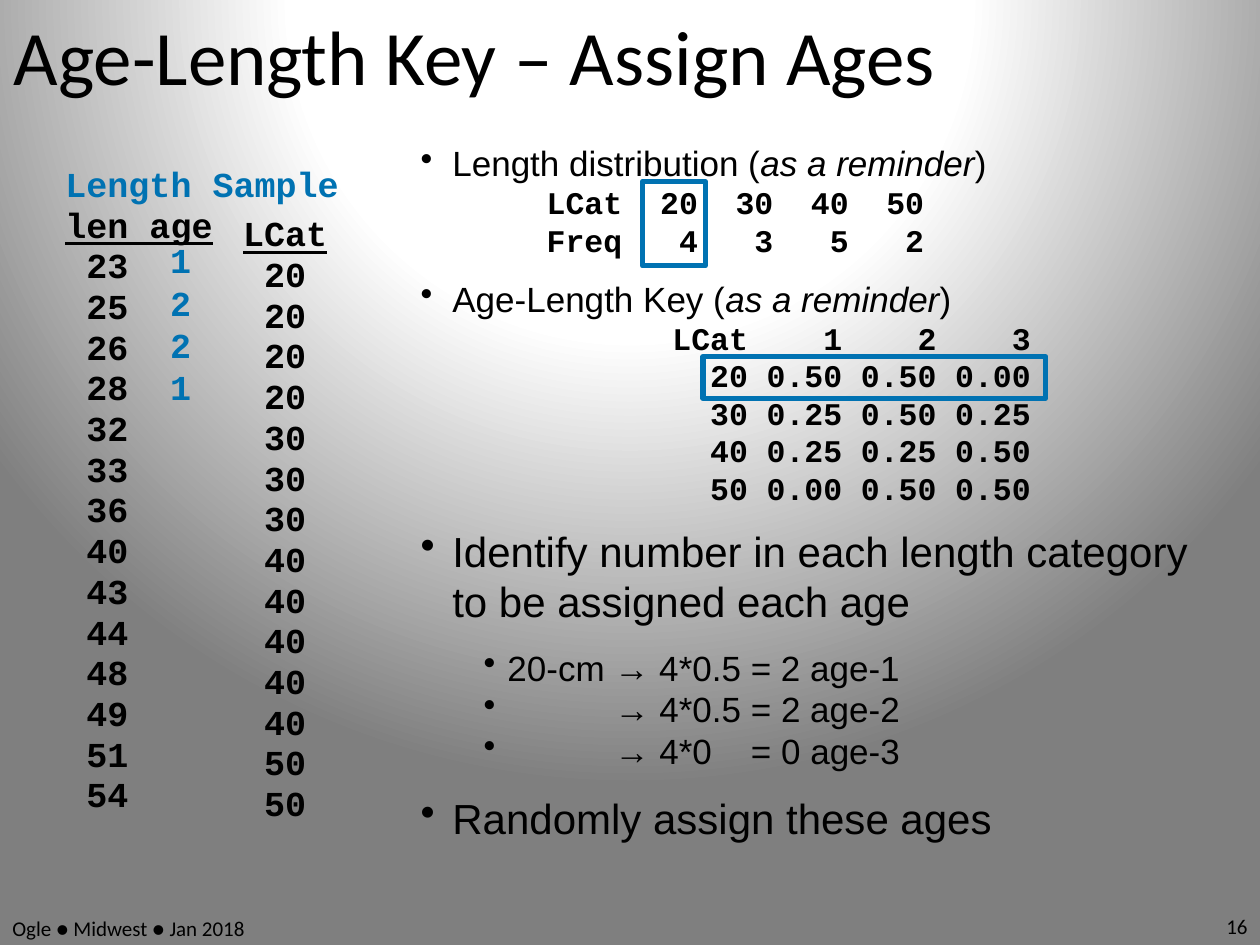
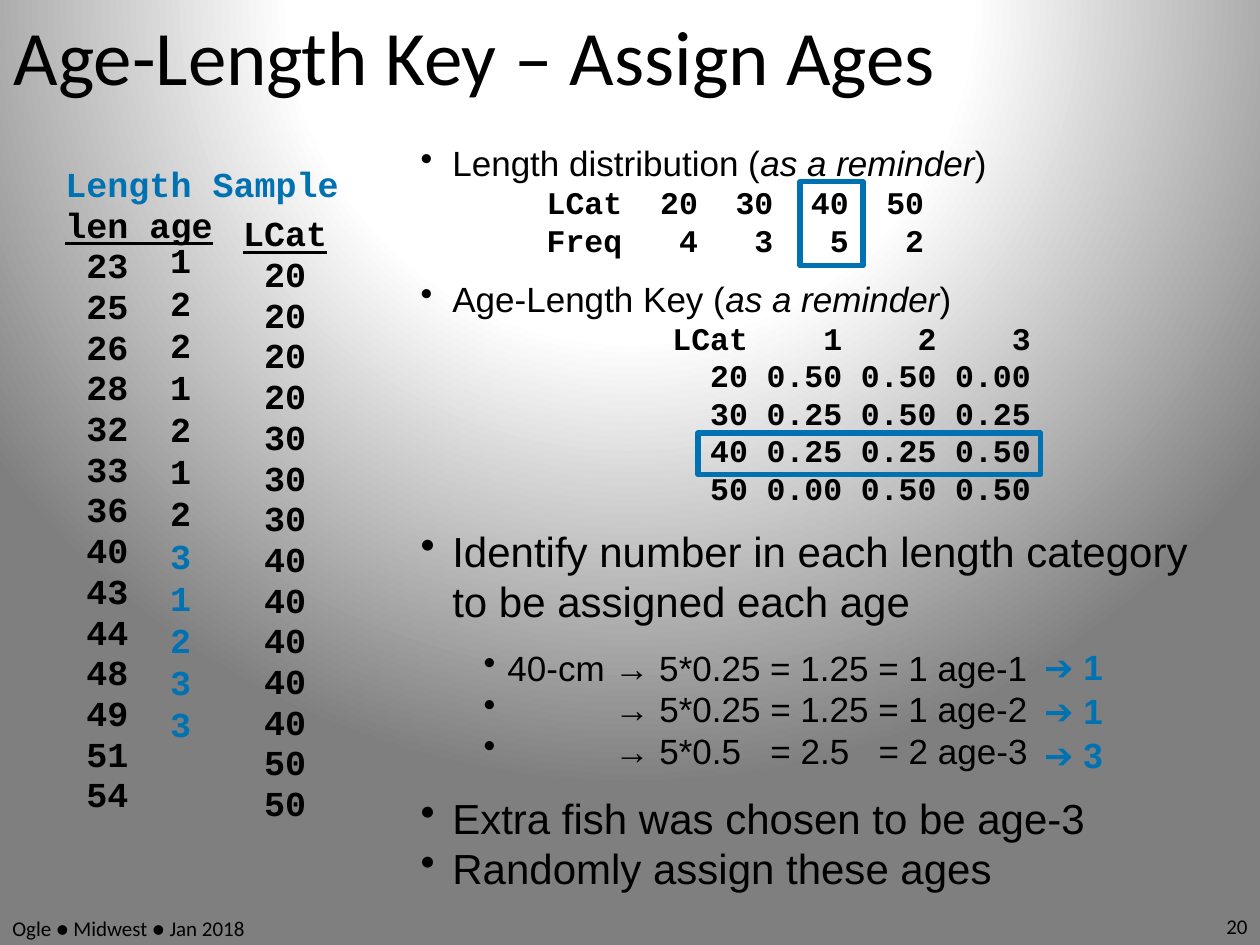
from pptx import Presentation
from pptx.dml.color import RGBColor
from pptx.enum.shapes import MSO_SHAPE
from pptx.enum.text import MSO_ANCHOR, MSO_AUTO_SIZE, PP_ALIGN
from pptx.oxml import parse_xml
from pptx.oxml.ns import qn
from pptx.util import Cm, Pt

BLACK = RGBColor(0x00, 0x00, 0x00)
BLUE = RGBColor(0x00, 0x72, 0xB2)
SANS, MONO, HEADING = "Arial", "Courier New", "Calibri"
LINE_FACTOR = 1.19
SAMPLE_PITCH = 23.24
SPACE_WIDTH = 5.56

GRADIENT = """
<a:gradFill xmlns:a="http://schemas.openxmlformats.org/drawingml/2006/main" rotWithShape="1">
  <a:gsLst>
    <a:gs pos="40000"><a:srgbClr val="FEFEFE"/></a:gs>
    <a:gs pos="43000"><a:srgbClr val="FFFFFF"/></a:gs>
    <a:gs pos="100000"><a:srgbClr val="7F7F7F"/></a:gs>
  </a:gsLst>
  <a:path path="circle"><a:fillToRect l="50000" t="-80000" r="50000" b="180000"/></a:path>
</a:gradFill>"""

LENGTHS = [23, 25, 26, 28, 32, 33, 36, 40, 43, 44, 48, 49, 51, 54]
DISTRIBUTION = [("LCat", 20, 30, 40, 50), ("Freq", 4, 3, 5, 2)]
AGE_LENGTH_KEY = [
    ("LCat", "1", "2", "3"),
    ("20", "0.50", "0.50", "0.00"),
    ("30", "0.25", "0.50", "0.25"),
    ("40", "0.25", "0.25", "0.50"),
    ("50", "0.00", "0.50", "0.50"),
]
# Tab stops: alignment and position in cm.
DISTRIBUTION_TABS = [("l", 2.54)] + [("r", 5.59 + 1.52 * column) for column in range(4)]
KEY_TABS = [("r", 6.6 + 1.9 * column) for column in range(4)]


def paint_background(page):
    page.background.fill.solid()
    solid = page.element.find(".//" + qn("a:solidFill"))
    solid.getparent().replace(solid, parse_xml(GRADIENT))


def add_box(page, left, top, width, height, wrap=True):
    box = page.shapes.add_textbox(Cm(left), Cm(top), Cm(width), Cm(height))
    box.text_frame.word_wrap = wrap
    if not wrap:
        box.text_frame.auto_size = MSO_AUTO_SIZE.SHAPE_TO_FIT_TEXT
    return box.text_frame


def next_para(frame, pitch=None, before=0):
    """Return the still empty first paragraph, or a new one."""
    para = frame.paragraphs[0]
    if para.runs:
        para = frame.add_paragraph()
    para.space_before = Pt(before)
    if pitch:
        para.line_spacing = Pt(pitch)
    return para


def add_span(para, text, size, font=SANS, color=BLACK, bold=False,
             italic=False, underline=False):
    span = para.add_run()
    span.text = text
    span.font.size = Pt(size)
    span.font.name = font
    span.font.color.rgb = color
    span.font.bold = bold
    span.font.italic = italic
    span.font.underline = underline
    return span


def add_bullet(frame, size, before=0, margin=0.64, hanging=0.64):
    para = next_para(frame, size * LINE_FACTOR, before)
    properties = para._p.get_or_add_pPr()
    properties.set("marL", str(int(Cm(margin))))
    properties.set("indent", str(-int(Cm(hanging))))
    properties.append(properties.makeelement(qn("a:buChar"), {"char": "•"}))
    return para


def add_reminder(frame, topic, before=0):
    para = add_bullet(frame, 20, before)
    add_span(para, topic + " (", 20)
    add_span(para, "as a reminder", 20, italic=True)
    add_span(para, ")", 20)


def add_number_rows(frame, rows, tabs):
    """Set rows of numbers in columns placed by tab stops."""
    for row in rows:
        para = next_para(frame, 18 * LINE_FACTOR)
        properties = para._p.get_or_add_pPr()
        tab_list = properties.makeelement(qn("a:tabLst"), {})
        for alignment, position in tabs:
            stop = {"pos": str(int(Cm(position))), "algn": alignment}
            tab_list.append(tab_list.makeelement(qn("a:tab"), stop))
        properties.append(tab_list)
        add_span(para, "".join(f"\t{value}" for value in row), 18, MONO, bold=True)


def add_calculation(frame, parts, gap, first):
    """Add one sum; a single space widened to gap spaces joins its parts."""
    if first:
        para = add_bullet(frame, 20, 12, 1.75, 0.48)
    else:
        para = add_bullet(frame, 20, 0, 3.91, 2.64)
    for index, part in enumerate(parts):
        if index:
            space = add_span(para, " ", 20)
            extra = (gap - 1) * SPACE_WIDTH
            space._r.get_or_add_rPr().set("spc", str(round(extra * 100)))
        add_span(para, part, 20)


def add_column(frame, heading, values):
    add_span(next_para(frame, SAMPLE_PITCH), heading, 20, MONO, bold=True, underline=True)
    for value in values:
        add_span(next_para(frame, SAMPLE_PITCH), f" {value}", 20, MONO, bold=True)


def add_sample(page):
    frame = add_box(page, 1.07, 3.18, 6.78, 13.97)
    add_span(next_para(frame, SAMPLE_PITCH), "Length Sample", 20, MONO, BLUE, bold=True)
    add_column(frame, "len age", LENGTHS)
    categories = add_box(page, 4.65, 3.18, 2.34, 13.97)
    categories.margin_top = Cm(1.12)
    add_column(categories, "LCat", [length // 10 * 10 for length in LENGTHS])


def add_label(page, text, left, top, width, font, color):
    frame = add_box(page, left, top, width, 1.09, wrap=False)
    add_span(next_para(frame, 20 * LINE_FACTOR), text, 20, font, color, bold=True)


def add_ages(page, ages, first_new):
    """Place assigned ages; those from first_new on are blue."""
    for index, age in enumerate(ages):
        color = BLUE if index >= first_new else BLACK
        add_label(page, str(age), 3.18, 4.7 + 0.85 * index, 0.94, MONO, color)


def add_corrections(page, counts):
    for index, count in enumerate(counts):
        add_label(page, f"➔ {count}", 20.8, 12.9 + 0.88 * index, 1.85, SANS, BLUE)


def add_explanation(page, height, calculations, gap, conclusions):
    frame = add_box(page, 8.23, 2.74, 16.54, height)
    add_reminder(frame, "Length distribution")
    add_number_rows(frame, DISTRIBUTION, DISTRIBUTION_TABS)
    add_reminder(frame, "Age-Length Key", before=10.8)
    add_number_rows(frame, AGE_LENGTH_KEY, KEY_TABS)
    add_span(add_bullet(frame, 24, 10.8),
             "Identify number in each length category to be assigned each age", 24)
    for index, parts in enumerate(calculations):
        add_calculation(frame, parts, gap, first=index == 0)
    for index, conclusion in enumerate(conclusions):
        add_span(add_bullet(frame, 24, 0 if index else 12), conclusion, 24)


def add_outline(page, left, top, width, height):
    outline = page.shapes.add_shape(MSO_SHAPE.RECTANGLE, Cm(left), Cm(top), Cm(width), Cm(height))
    outline.shadow.inherit = False
    outline.fill.background()
    outline.line.color.rgb = BLUE
    outline.line.width = Pt(3)


def mark_category(page, index):
    """Outline a category in the distribution and in the key."""
    add_outline(page, 14.17 - 0.05 * index, 7.19 + 0.77 * index, 6.91, 0.84)
    add_outline(page, 12.95 + 1.59 * index, 3.66, 1.27, 1.7)


def add_heading_text(page, text, size, left, top, width, height, alignment=PP_ALIGN.LEFT):
    frame = add_box(page, left, top, width, height)
    frame.vertical_anchor = MSO_ANCHOR.MIDDLE
    para = next_para(frame)
    para.alignment = alignment
    add_span(para, text, size, HEADING)


def add_page(deck, number):
    page = deck.slides.add_slide(deck.slide_layouts[6])
    paint_background(page)
    add_heading_text(page, "Age-Length Key – Assign Ages", 44, 0.03, 0.03, 22.86, 2.13)
    add_heading_text(page, "Ogle ● Midwest ● Jan 2018", 12, 0, 18.36, 5.92, 0.69)
    add_heading_text(page, str(number), 12, 19.48, 18.29, 5.92, 0.76, PP_ALIGN.RIGHT)
    add_sample(page)
    return page


def main():
    deck = Presentation()
    deck.slide_width, deck.slide_height = Cm(25.4), Cm(19.05)

    page = add_page(deck, 16)
    add_explanation(page, 15.01, [
        ["20-cm → 4*0.5 = 2 age-1"],
        ["→ 4*0.5 = 2 age-2"],
        ["→ 4*0", "= 0 age-3"],
    ], 4, ["Randomly assign these ages"])
    add_ages(page, [1, 2, 2, 1], first_new=0)
    mark_category(page, 0)

    page = add_page(deck, 20)
    add_explanation(page, 16.03, [
        ["40-cm → 5*0.25 = 1.25 = 1 age-1"],
        ["→ 5*0.25 = 1.25 = 1 age-2"],
        ["→ 5*0.5", "= 2.5", "= 2 age-3"],
    ], 3, ["Extra fish was chosen to be age-3", "Randomly assign these ages"])
    add_ages(page, [1, 2, 2, 1, 2, 1, 2, 3, 1, 2, 3, 3], first_new=7)
    add_corrections(page, [1, 1, 3])
    mark_category(page, 2)

    deck.save("out.pptx")


if __name__ == "__main__":
    main()
